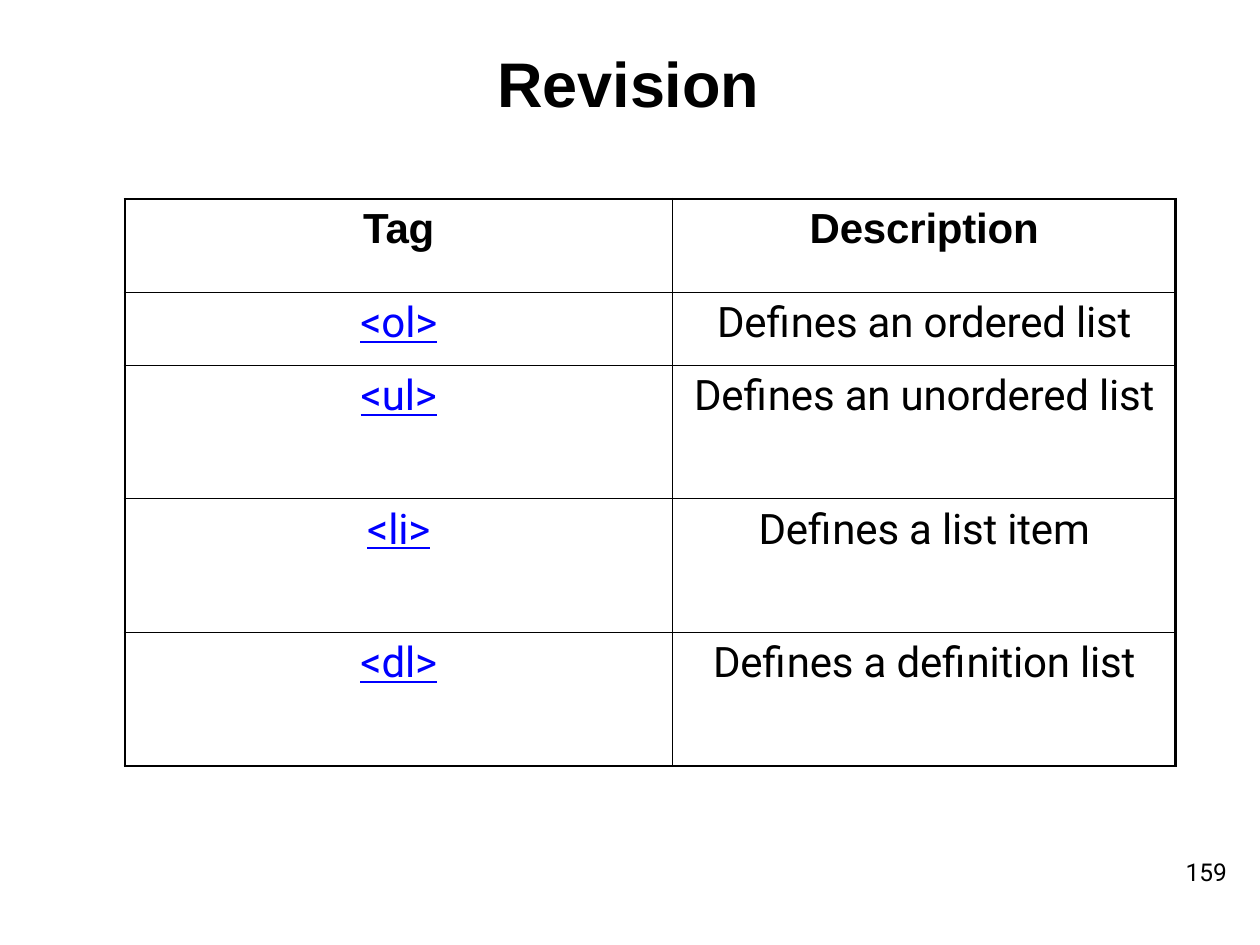
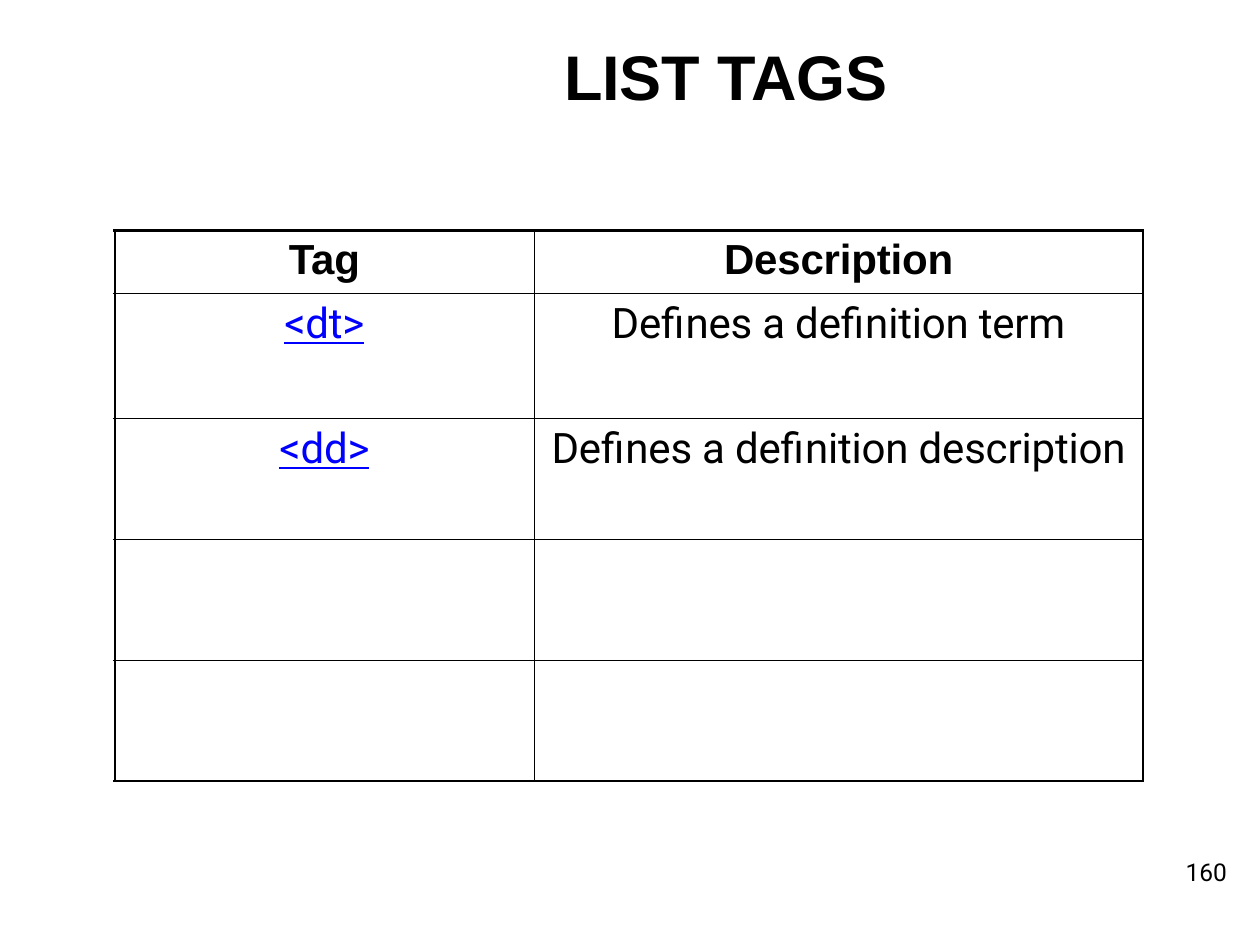
"""Builds two slides that list the HTML list tags in tables."""
from lxml import etree
from pptx import Presentation
from pptx.dml.color import RGBColor
from pptx.enum.text import PP_ALIGN
from pptx.oxml.ns import qn
from pptx.util import Inches, Pt

CENTER = PP_ALIGN.CENTER
COLORS = {"text": "000000", "link": "0000FF", "border": "000000"}
HEAD_FONT, BODY_FONT = "Arial", "Roboto"
OUTER, INNER = Pt(1.5), Pt(0.5)
HEADER = ("Tag", "Description")


def add_run(p, text, size, font=BODY_FONT, color="text", bold=False, underline=False):
    r = p.add_run()
    r.text = text
    r.font.size = Pt(size)
    r.font.name = font
    r.font.bold = bold
    r.font.underline = underline
    r.font.color.rgb = RGBColor.from_string(COLORS[color])
    return r


def tighten(r):
    r.font._element.set("spc", "-10")


def add_text_box(s, left, top, width, height, margin_left=0.0, margin_top=0.0):
    tf = s.shapes.add_textbox(Inches(left), Inches(top), Inches(width), Inches(height)).text_frame
    tf.word_wrap = True
    tf.margin_left, tf.margin_top = Inches(margin_left), Inches(margin_top)
    tf.margin_right = tf.margin_bottom = 0
    return tf.paragraphs[0]


def add_title(s, text, left, top, width):
    p = add_text_box(s, left, top, width, 0.63, 0.01, 0.01)
    p.space_before = Pt(1)
    tighten(add_run(p, text, 36, HEAD_FONT, bold=True))


def add_page_number(s, number):
    p = add_text_box(s, 9.37, 6.81, 0.41, 0.25, 0.04)
    p.line_spacing = Pt(16.4)
    add_run(p, str(number), 14)


def set_borders(cell, widths):
    tc_pr = cell._tc.get_or_add_tcPr()
    for side, width in zip("LRTB", widths):
        ln = etree.SubElement(tc_pr, qn(f"a:ln{side}"), w=str(width))
        fill = etree.SubElement(ln, qn("a:solidFill"))
        etree.SubElement(fill, qn("a:srgbClr"), val=COLORS["border"])


def fill_cell(cell, text, is_header, is_tag):
    cell.margin_left = cell.margin_right = cell.margin_bottom = 0
    cell.margin_top = Inches(0.05)
    cell.fill.background()
    if not text:
        return
    p = cell.text_frame.paragraphs[0]
    p.alignment = CENTER
    p.space_before = Pt(3.4)
    if is_header:
        r = add_run(p, text, 24, HEAD_FONT, bold=True)
    elif is_tag:
        r = add_run(p, text, 24, color="link", underline=True)
    else:
        r = add_run(p, text, 24)
    tighten(r)


def add_tag_table(s, left, top, col_widths, row_heights, entries):
    n_rows, n_cols = len(row_heights), len(col_widths)
    table = s.shapes.add_table(
        n_rows, n_cols, Inches(left), Inches(top),
        Inches(sum(col_widths)), Inches(sum(row_heights))).table
    table.first_row = table.horz_banding = False
    for column, width in zip(table.columns, col_widths):
        column.width = Inches(width)
    for row, height in zip(table.rows, row_heights):
        row.height = Inches(height)
    texts = [HEADER, *entries]
    texts += [("", "")] * (n_rows - len(texts))
    for i, row_texts in enumerate(texts):
        for j, text in enumerate(row_texts):
            cell = table.cell(i, j)
            at_edge = (j == 0, j == n_cols - 1, i == 0, i == n_rows - 1)
            set_borders(cell, [OUTER if edge else INNER for edge in at_edge])
            fill_cell(cell, text, i == 0, j == 0)


def add_slide(prs, number, title, title_box):
    s = prs.slides.add_slide(prs.slide_layouts[6])
    add_page_number(s, number)
    add_title(s, title, *title_box)
    return s


def main():
    prs = Presentation()
    prs.slide_width, prs.slide_height = Inches(10), Inches(7.5)

    s = add_slide(prs, 159, "Revision", (3.94, 0.34, 2.11))
    add_tag_table(s, 0.99, 1.58, (4.35, 3.99), (0.74, 0.58, 1.06, 1.06, 1.06), [
        ("<ol>", "Defines an ordered list"),
        ("<ul>", "Defines an unordered list"),
        ("<li>", "Defines a list item"),
        ("<dl>", "Defines a definition list"),
    ])

    s = add_slide(prs, 160, "LIST TAGS", (4.47, 0.29, 2.64))
    add_tag_table(s, 0.91, 1.83, (3.33, 4.83), (0.5, 0.99, 0.96, 0.96, 0.96), [
        ("<dt>", "Defines a definition term"),
        ("<dd>", "Defines a definition description"),
    ])

    prs.save("out.pptx")


if __name__ == "__main__":
    main()
